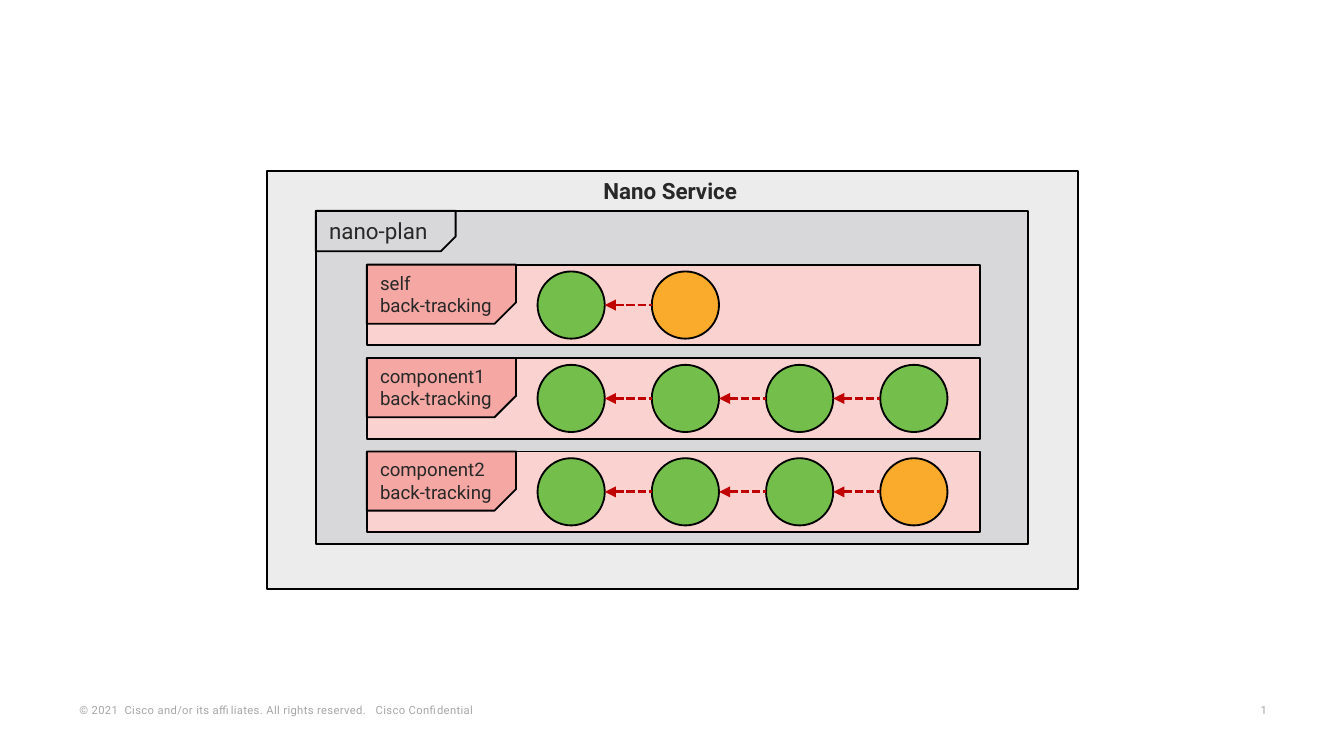
from lxml.etree import SubElement
from pptx import Presentation
from pptx.dml.color import RGBColor
from pptx.enum.dml import MSO_LINE
from pptx.enum.shapes import MSO_CONNECTOR, MSO_SHAPE
from pptx.enum.text import MSO_ANCHOR
from pptx.oxml.ns import qn
from pptx.util import Inches, Pt

GREEN, ORANGE = "74BF4B", "FBAB2C"
BLACK, INK, GREY, RED = "000000", "282828", "A6A6A6", "C00000"

deck = Presentation()
deck.slide_width = Inches(10)
deck.slide_height = deck.slide_width * 9 // 16
slide = deck.slides.add_slide(deck.slide_layouts[6])


def add_outline(kind, left, top, width, height, fill=None):
    """Add a black-lined shape; a snipped tab is cut at its lower right corner."""
    shape = slide.shapes.add_shape(
        kind, Inches(left), Inches(top), Inches(width), Inches(height))
    shape.shadow.inherit = False
    shape.line.color.rgb = RGBColor.from_string(BLACK)
    shape.line.width = Pt(1)
    if fill:
        shape.fill.solid()
        shape.fill.fore_color.rgb = RGBColor.from_string(fill)
    else:
        shape.fill.background()
    if kind == MSO_SHAPE.SNIP_1_RECTANGLE:
        shape.adjustments[0] = 0.364
        shape._element.spPr.find(qn("a:xfrm")).set("flipV", "1")


def add_label(text, left, top, width, height, size, color=INK, bold=False):
    box = slide.shapes.add_textbox(
        Inches(left), Inches(top), Inches(width), Inches(height))
    frame = box.text_frame
    frame.text = text
    frame.word_wrap = False
    for para in frame.paragraphs:
        for span in para.runs:
            span.font.name = "Roboto"
            span.font.size = Pt(size)
            span.font.bold = bold
            span.font.color.rgb = RGBColor.from_string(color)
    return box


# Footer
copyright_line = ("© 2021  Cisco and/or its affiliates. All rights reserved."
                  "   Cisco Confidential")
for text, left, width in ((copyright_line, 0.52, 3.72), ("1", 9.31, 0.24)):
    frame = add_label(text, left, 5.19, width, 0.17, 6, GREY).text_frame
    frame.word_wrap = text == copyright_line
    frame.vertical_anchor = MSO_ANCHOR.BOTTOM
    frame.margin_left = frame.margin_right = Inches(0.07)
    frame.margin_top = frame.margin_bottom = Inches(0.03)
    frame.paragraphs[0].runs[0].font._element.set("spc", "20")

# Service and plan frames
add_outline(MSO_SHAPE.RECTANGLE, 1.99, 1.27, 6.03, 3.11, "ECECEC")
add_outline(MSO_SHAPE.RECTANGLE, 2.35, 1.57, 5.3, 2.48, "D8D8DA")
add_label("Nano Service", 4.39, 1.27, 1.22, 0.3, 12, bold=True)
add_outline(MSO_SHAPE.SNIP_1_RECTANGLE, 2.35, 1.57, 1.04, 0.3)
add_label("nano-plan", 2.35, 1.57, 0.98, 0.3, 12)

# Components, one row each, with their states from left to right
components = (
    ("self", (GREEN, ORANGE)),
    ("component1", (GREEN, GREEN, GREEN, GREEN)),
    ("component2", (GREEN, GREEN, GREEN, ORANGE)),
)
row_left, row_top, row_height = 2.73, 1.97, 0.6
row_pitch = (3.36 - row_top) / 2
state_left, state_pitch, state_size = 4, 0.85, 0.5

for row, (name, states) in enumerate(components):
    top = row_top + row * row_pitch
    middle = top + row_height / 2
    add_outline(MSO_SHAPE.RECTANGLE, row_left, top, 4.56, row_height, "FAD3D1")
    add_outline(MSO_SHAPE.SNIP_1_RECTANGLE, row_left, top, 1.11, 0.44, "F4A7A3")
    add_label(f"{name}\nback-tracking", row_left, top, 1.07, 0.44, 10)

    for column, color in enumerate(states):
        left = state_left + column * state_pitch
        add_outline(MSO_SHAPE.OVAL, left, middle - state_size / 2,
                    state_size, state_size, color)
        if column == 0:
            continue
        arrow = slide.shapes.add_connector(
            MSO_CONNECTOR.STRAIGHT,
            Inches(left - state_pitch + state_size), Inches(middle),
            Inches(left), Inches(middle))
        arrow.line.color.rgb = RGBColor.from_string(RED)
        arrow.line.width = Pt(1.5)
        arrow.line.dash_style = MSO_LINE.SQUARE_DOT
        SubElement(arrow.line._get_or_add_ln(), qn("a:headEnd"), type="triangle")
        SubElement(arrow._element.spPr, qn("a:effectLst"))

deck.save("out.pptx")
